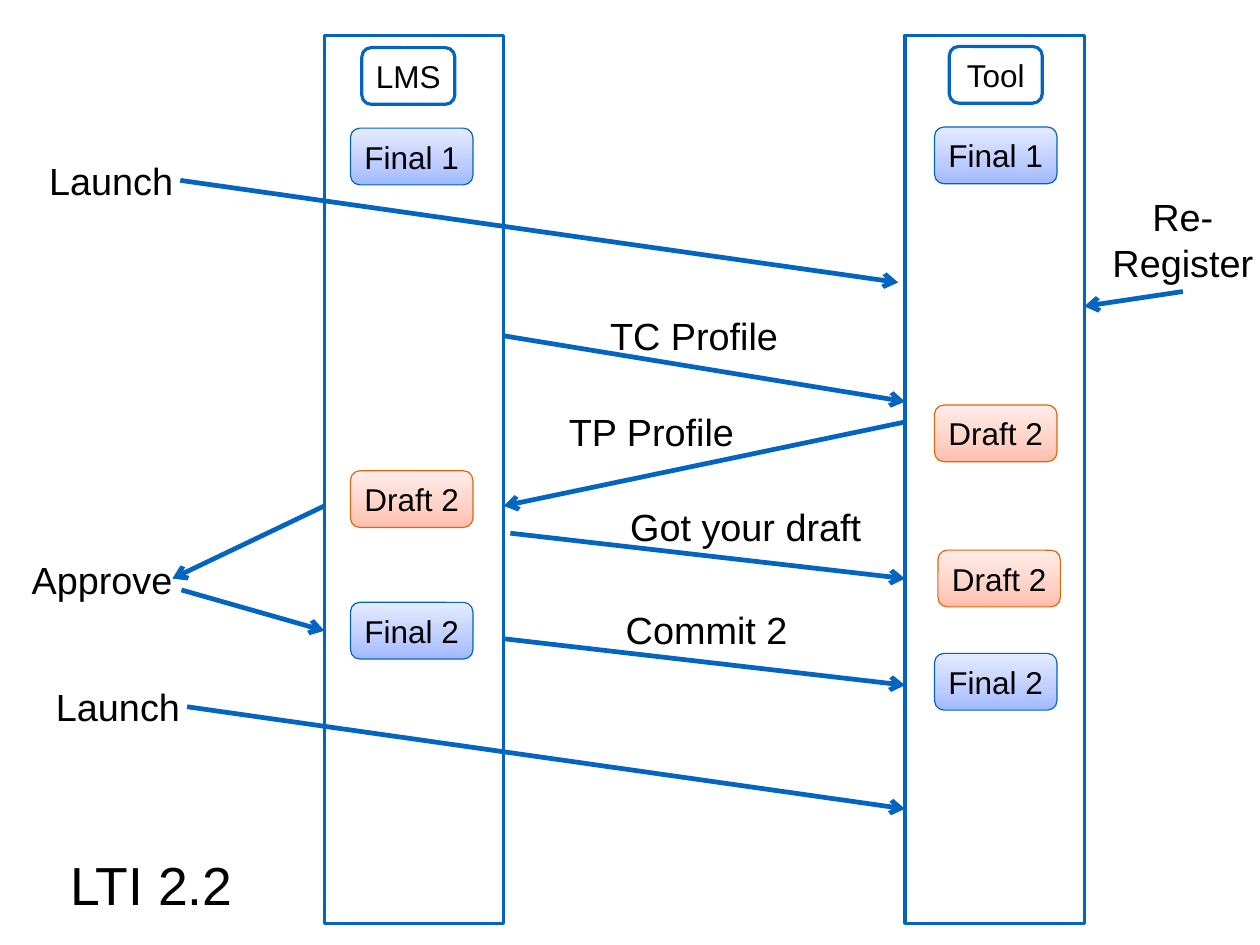
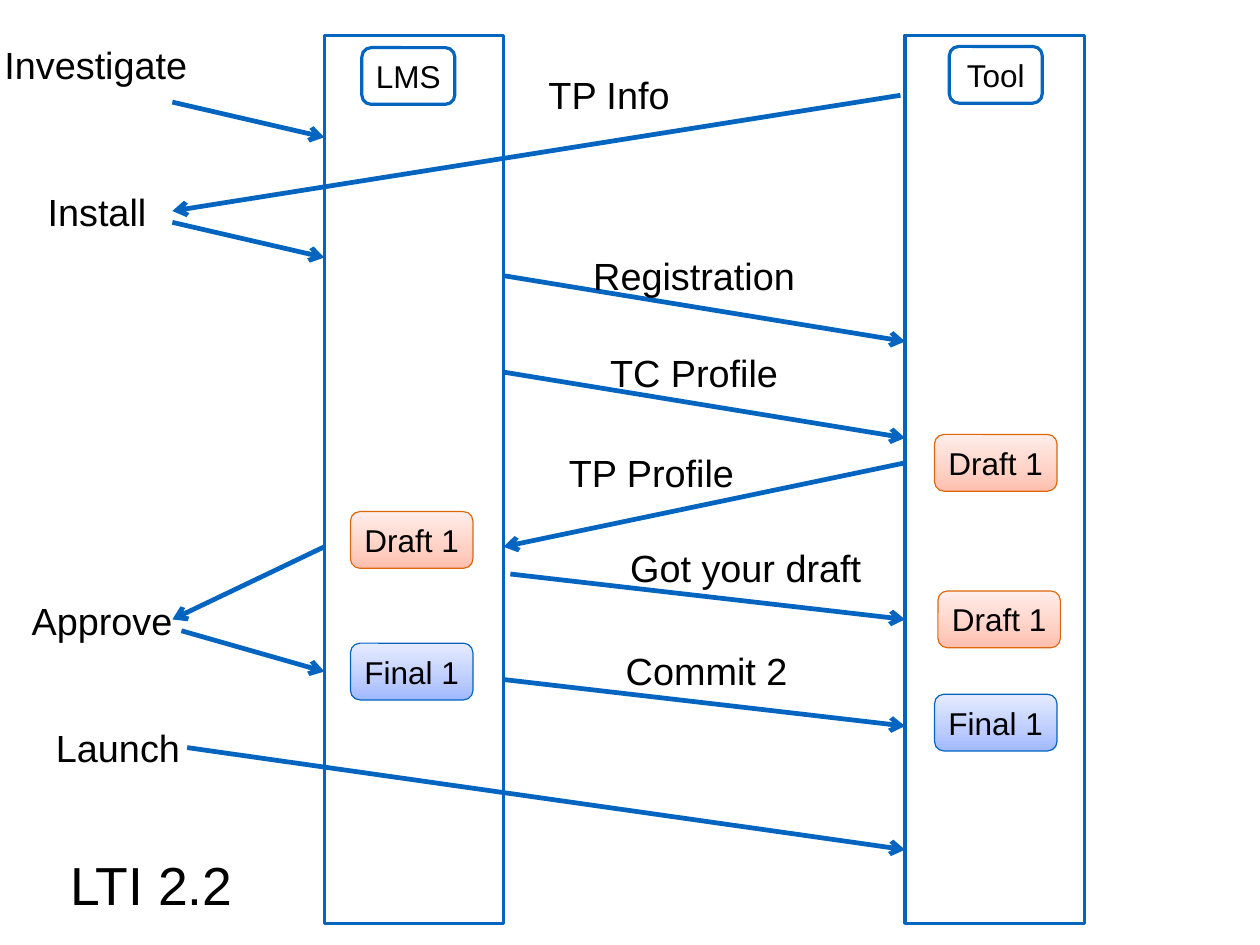
from lxml import etree
from pptx import Presentation
from pptx import util as u
from pptx.dml.color import RGBColor
from pptx.enum import shapes, text
from pptx.oxml.ns import qn

PX = 9144  # 100 px to the inch
SLIDE_W, SLIDE_H = 1111, 833
FONT = "Arial"
INSET_X, INSET_Y = 2, 6
COLORS = {"ink": "000000", "paper": "FFFFFF", "blue": "0365C0"}
STATES = {
    "Final": {"line": "0063BF", "stops": ("A0B8FF", "BCCCFF", "E5EBFF")},
    "Draft": {"line": "DE670B", "stops": ("FFBEAD", "FFD1C5", "FFEDE9")},
}
STOP_POSITIONS = (0, 35000, 100000)

# Lanes
LANE_TOP, LANE_W, LANE_H = 31, 158, 783
LMS_L, TOOL_L = 286, 798
LMS_R, TOOL_R = LMS_L + LANE_W, TOOL_L + LANE_W
LMS_STATE, TOOL_STATE = LMS_L + 23, TOOL_L + 26
STATE_W, STATE_H = 108, 50
LABEL_H = 52


def px(*lengths):
    return [u.Emu(n * PX) for n in lengths]


def rgb(value):
    return RGBColor.from_string(value)


def write(sp, content, size=24, color="ink", wrap=False):
    """Centred text in a box of fixed size."""
    tf = sp.text_frame
    tf.word_wrap = wrap
    tf.auto_size = text.MSO_AUTO_SIZE.NONE
    tf.vertical_anchor = text.MSO_ANCHOR.MIDDLE
    tf.margin_left = tf.margin_right = px(INSET_X)[0]
    tf.margin_top = tf.margin_bottom = px(INSET_Y)[0]
    for i, line in enumerate(content.split("\n")):
        p = tf.add_paragraph() if i else tf.paragraphs[0]
        p.alignment = text.PP_ALIGN.CENTER
        r = p.add_run()
        r.text = line
        r.font.name, r.font.size = FONT, u.Pt(size)
        r.font.color.rgb = rgb(COLORS[color])


def label(slide, content, x, y, w, h=LABEL_H):
    sp = slide.shapes.add_textbox(*px(x, y, w, h))
    write(sp, content)
    return sp


def box_shape(slide, kind, box, line, width):
    sp = slide.shapes.add_shape(kind, *px(*box))
    sp.shadow.inherit = False
    sp.fill.solid()
    sp.fill.fore_color.rgb = rgb(COLORS["paper"])
    sp.line.color.rgb = rgb(line)
    sp.line.width = u.Pt(width)
    return sp


def arrow(slide, start, end, source=None, site=3):
    line = slide.shapes.add_connector(shapes.MSO_CONNECTOR.STRAIGHT, *px(*start, *end))
    if source is not None:
        line.begin_connect(source, site)
    line.line.color.rgb = rgb(COLORS["blue"])
    line.line.width = u.Pt(3)
    props = line._element.spPr
    etree.SubElement(props.find(qn("a:ln")), qn("a:tailEnd"), type="arrow")
    etree.SubElement(props, qn("a:effectLst"))


def state(slide, kind, version, x, y):
    """Rounded box with the gradient of its kind, darkest at the bottom."""
    style = STATES[kind]
    sp = box_shape(slide, shapes.MSO_SHAPE.ROUNDED_RECTANGLE,
                   (x, y, STATE_W, STATE_H), style["line"], 0.75)
    sp.fill.gradient()
    sp.fill.gradient_angle = 90
    stops = sp._element.spPr.find(".//" + qn("a:gsLst"))
    for old in list(stops):
        stops.remove(old)
    for pos, color in zip(STOP_POSITIONS, style["stops"]):
        gs = etree.SubElement(stops, qn("a:gs"), pos=str(pos))
        etree.SubElement(gs, qn("a:srgbClr"), val=color)
    write(sp, f"{kind} {version}", size=20, wrap=True)


def lane(slide, box):
    box_shape(slide, shapes.MSO_SHAPE.RECTANGLE, box, COLORS["blue"], 2)


def lane_header(slide, name, x, y):
    sp = box_shape(slide, shapes.MSO_SHAPE.ROUNDED_RECTANGLE, (x, y, 82, 50),
                   COLORS["blue"], 2)
    write(sp, name, size=20, wrap=True)


def launch(slide, x, y, end):
    sp = label(slide, "Launch", x, y, 122)
    arrow(slide, (x + 122, y + 26), end, source=sp)


def request(slide, content, box, label_w):
    """Message from LMS to Tool, its label above the falling arrow."""
    x, y, w, h = box
    arrow(slide, (x, y + 26), (x + w, y + h))
    label(slide, content, x + 168 - label_w // 2, y, label_w)


def draft_exchange(slide, top, version):
    """Profile reply, draft, approval, commit and launch."""
    # Profile from the tool
    label(slide, "TP Profile", 496, top, 157)
    arrow(slide, (TOOL_L, top + 18), (LMS_R, top + 92))
    # Draft acknowledged
    arrow(slide, (LMS_R + 6, top + 116), (TOOL_L, top + 156))
    label(slide, "Got your draft", 547, top + 84, 221)
    # Approval by the user
    arrow(slide, (LMS_L, top + 92), (152, top + 156))
    label(slide, "Approve", 20, top + 131, 140)
    arrow(slide, (160, top + 166), (LMS_L, top + 202))
    # Commit
    arrow(slide, (LMS_R, top + 209), (TOOL_L, top + 250))
    label(slide, "Commit 2", 544, top + 175, 158)
    launch(slide, 43, top + 243, (TOOL_L, top + 359))
    # States reached on each side
    for kind, x, y in (("Draft", LMS_STATE, 61), ("Final", LMS_STATE, 177),
                       ("Draft", TOOL_STATE + 3, 131), ("Final", TOOL_STATE, 222)):
        state(slide, kind, version, x, top + y)


def base_slide(prs):
    """Title and the two lanes with their headers."""
    slide = prs.slides.add_slide(prs.slide_layouts[5])
    title = slide.shapes.title
    title.left, title.top, title.width, title.height = px(55, 745, 157, 68)
    write(title, "LTI 2.2", size=34)
    for x in (LMS_L, TOOL_L):
        lane(slide, (x, LANE_TOP, LANE_W, LANE_H))
    lane_header(slide, "LMS", LMS_L + 33, LANE_TOP + 11)
    lane_header(slide, "Tool", TOOL_L + 39, LANE_TOP + 10)
    return slide


def reregister_slide(prs):
    slide = base_slide(prs)
    state(slide, "Final", 1, LMS_STATE, 113)
    state(slide, "Final", 1, TOOL_STATE, 112)
    launch(slide, 37, 133, (792, 249))
    sp = label(slide, "Re-\nRegister", 975, 165, 136, 92)
    arrow(slide, (1043, 257), (TOOL_R, 270), source=sp, site=2)
    request(slide, "TC Profile", (LMS_R, 270, TOOL_L - LMS_R, 84), 160)
    state(slide, "Draft", 2, TOOL_STATE, 357)
    draft_exchange(slide, 354, 2)


def register_slide(prs):
    slide = base_slide(prs)
    # Actions of the user
    for content, x, y, w, start in (("Investigate", -3, 31, 175, 90),
                                    ("Install", 36, 160, 99, 196)):
        label(slide, content, x, y, w)
        arrow(slide, (152, start), (LMS_L, start + 31))
    label(slide, "TP Info", 478, 57, 118)
    arrow(slide, (794, 84), (152, 186))
    # Requests to the tool
    for content, y, w in (("Registration", 217, 192), ("TC Profile", 302, 160)):
        request(slide, content, (LMS_R, y, TOOL_L - LMS_R, 84), w)
    state(slide, "Draft", 1, TOOL_STATE, 383)
    draft_exchange(slide, 390, 1)


def main():
    prs = Presentation()
    prs.slide_width, prs.slide_height = px(SLIDE_W, SLIDE_H)
    reregister_slide(prs)
    register_slide(prs)
    prs.save("out.pptx")


if __name__ == "__main__":
    main()
